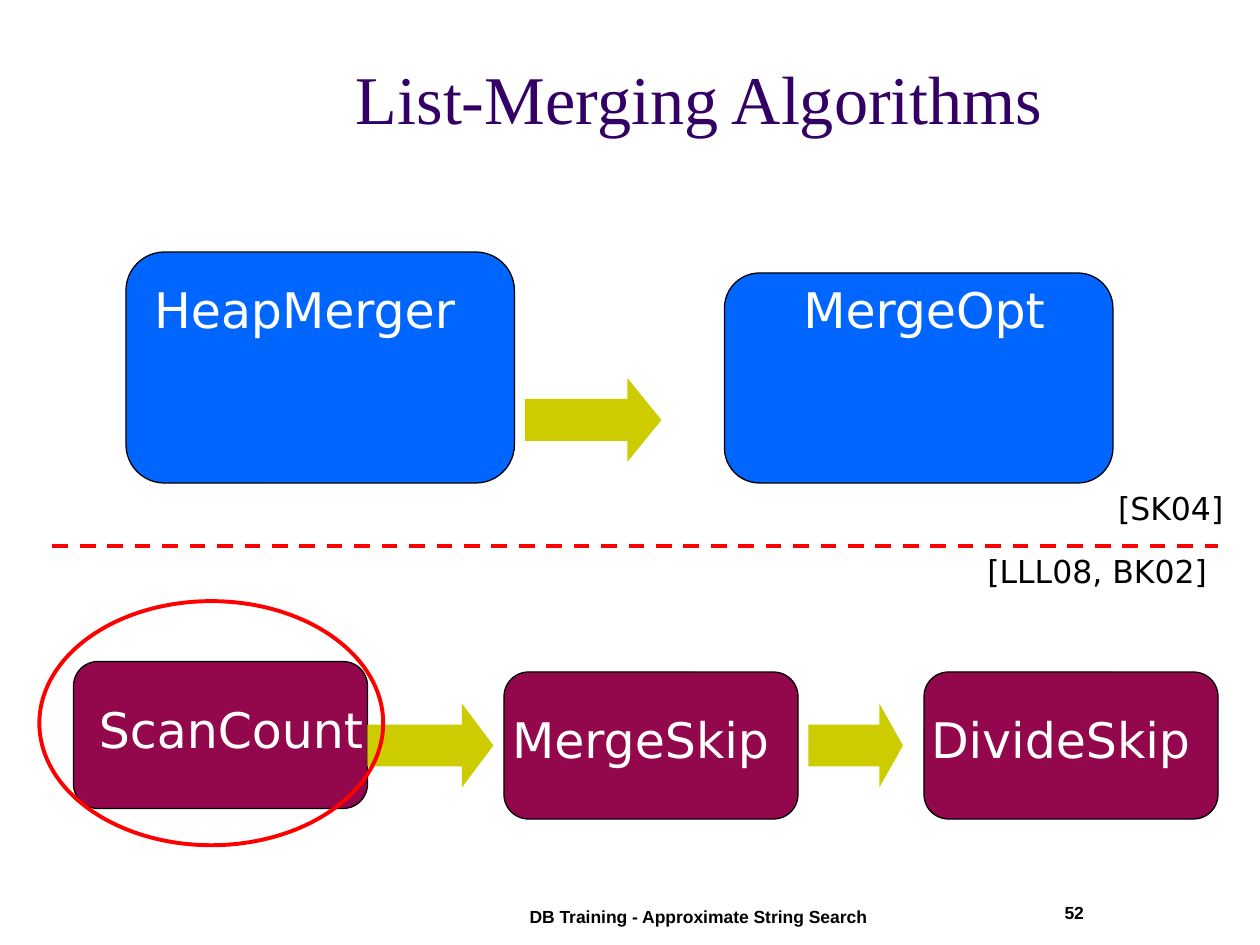
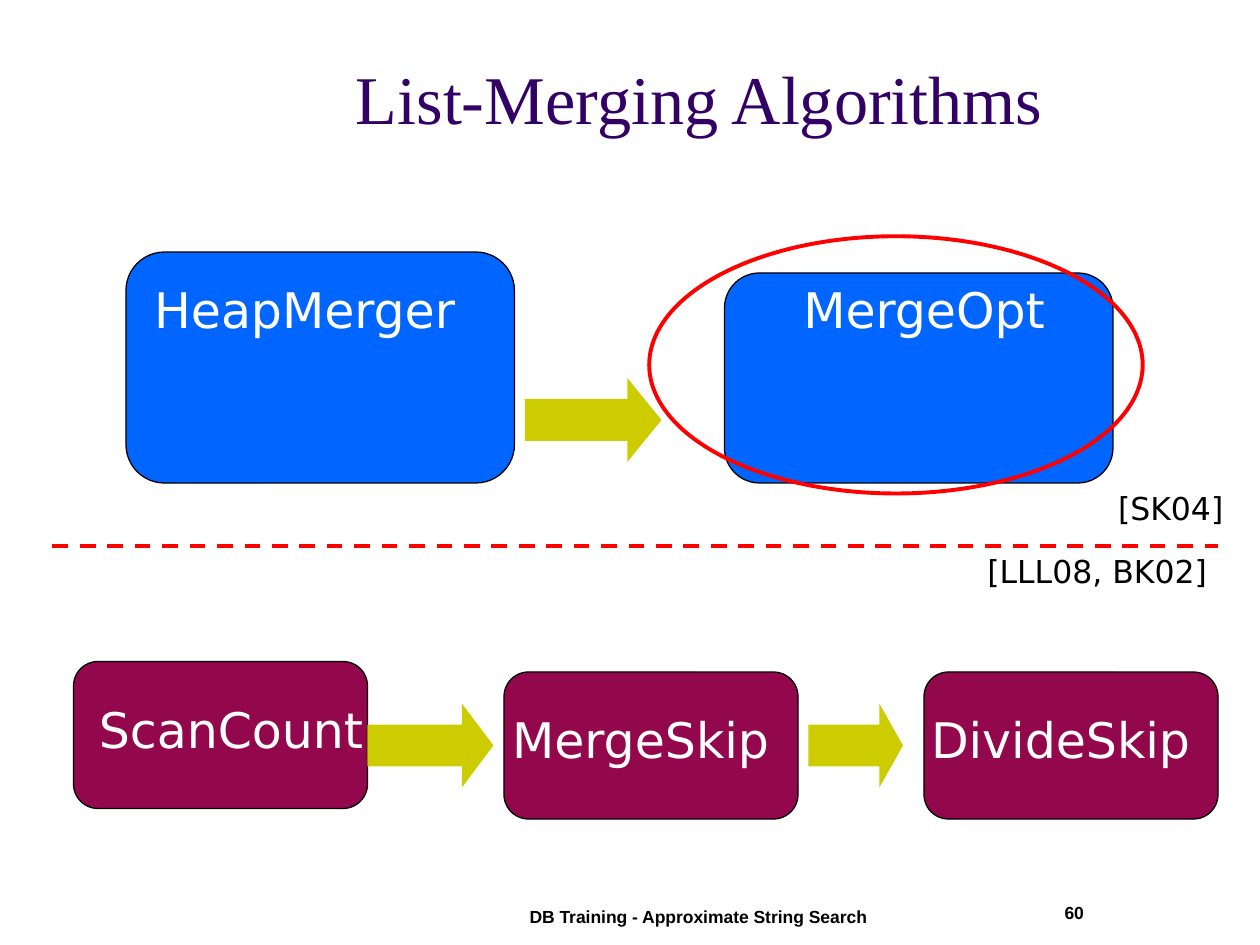
from dataclasses import dataclass

from lxml import etree
from pptx import Presentation
from pptx.dml.color import RGBColor
from pptx.enum import dml, shapes, text
from pptx.oxml import ns
from pptx.util import Pt

INDIGO = RGBColor(0x33, 0x00, 0x66)
BLUE = RGBColor(0x00, 0x66, 0xFF)
MAROON = RGBColor(0x93, 0x07, 0x4D)
OLIVE = RGBColor(0xCC, 0xCC, 0x00)
RED = RGBColor(0xFF, 0x00, 0x00)
BLACK = RGBColor(0x00, 0x00, 0x00)
WHITE = RGBColor(0xFF, 0xFF, 0xFF)

LABEL_HEIGHT = 41
ARROW_HEIGHT = 48
CITATION_HEIGHT = 29
FOOTER_HEIGHT = 36
DIVIDER_Y = 312


@dataclass(frozen=True)
class Area:
    left: float
    top: float
    width: float
    height: float

    def lengths(self) -> tuple:
        return Pt(self.left), Pt(self.top), Pt(self.width), Pt(self.height)


@dataclass(frozen=True)
class TextStyle:
    font: str
    size: float
    color: RGBColor
    align: text.PP_ALIGN = text.PP_ALIGN.CENTER
    anchor: text.MSO_ANCHOR = text.MSO_ANCHOR.TOP
    bold: bool = False


@dataclass(frozen=True)
class Algorithm:
    name: str
    box: Area
    label_left: float
    label_top: float
    label_width: float
    color: RGBColor


@dataclass(frozen=True)
class Step:
    """Arrow from one algorithm to the next."""
    left: float
    top: float
    width: float


@dataclass(frozen=True)
class Page:
    number: str
    highlight: Area


TITLE = TextStyle("Times New Roman", 39, INDIGO, text.PP_ALIGN.RIGHT, text.MSO_ANCHOR.BOTTOM)
LABEL = TextStyle("DejaVu Sans", 28, WHITE)
CITATION = TextStyle("DejaVu Sans", 18, BLACK)
FOOTER = TextStyle("Arial", 10, BLACK, bold=True)
PAGE_NUMBER = TextStyle("Arial", 10, BLACK, text.PP_ALIGN.RIGHT, bold=True)

ALGORITHMS = (
    Algorithm("HeapMerger", Area(72, 144, 222, 132), 78, 156, 192, BLUE),
    Algorithm("MergeOpt", Area(414, 156, 222, 120), 414, 156, 228, BLUE),
    Algorithm("ScanCount", Area(42, 378, 168, 84), 36, 396, 192, MAROON),
    Algorithm("MergeSkip", Area(288, 384, 168, 84), 270, 402, 192, MAROON),
    Algorithm("DivideSkip", Area(528, 384, 168, 84), 510, 402, 192, MAROON),
)
STEPS = (Step(300, 216, 78), Step(210, 402, 72), Step(462, 402, 54))
PAGES = (
    Page("52", Area(22.5, 343.5, 196.5, 139.5)),
    Page("60", Area(371, 135, 282, 147)),
)


def add_text(slide, words: str, area: Area, style: TextStyle) -> None:
    frame = slide.shapes.add_textbox(*area.lengths()).text_frame
    frame.word_wrap = True
    frame.vertical_anchor = style.anchor
    paragraph = frame.paragraphs[0]
    paragraph.text = words
    paragraph.alignment = style.align
    font = paragraph.font
    font.name, font.size, font.bold = style.font, Pt(style.size), style.bold
    font.color.rgb = style.color


def add_figure(slide, preset, area: Area, fill: RGBColor | None = None,
               outline: RGBColor | None = None, weight: float = 0.75):
    figure = slide.shapes.add_shape(preset, *area.lengths())
    figure.shadow.inherit = False
    if fill is None:
        figure.fill.background()
    else:
        figure.fill.solid()
        figure.fill.fore_color.rgb = fill
    if outline is None:
        figure.line.fill.background()
    else:
        figure.line.color.rgb = outline
        figure.line.width = Pt(weight)
    return figure


def add_algorithm(slide, algorithm: Algorithm) -> None:
    add_figure(slide, shapes.MSO_SHAPE.FLOWCHART_ALTERNATE_PROCESS, algorithm.box,
               algorithm.color, BLACK)
    label = Area(algorithm.label_left, algorithm.label_top, algorithm.label_width, LABEL_HEIGHT)
    add_text(slide, algorithm.name, label, LABEL)


def add_step(slide, step: Step) -> None:
    area = Area(step.left, step.top, step.width, ARROW_HEIGHT)
    arrow = add_figure(slide, shapes.MSO_SHAPE.RIGHT_ARROW, area, OLIVE)
    # The head takes a quarter of the arrow's length
    arrow.adjustments[1] = step.width / 4 / ARROW_HEIGHT


def add_divider(slide) -> None:
    divider = slide.shapes.add_connector(shapes.MSO_CONNECTOR.STRAIGHT, Pt(30), Pt(DIVIDER_Y),
                                         Pt(696), Pt(DIVIDER_Y))
    divider.line.color.rgb = RED
    divider.line.width = Pt(2.25)
    divider.line.dash_style = dml.MSO_LINE.DASH
    etree.SubElement(divider._element.spPr, ns.qn("a:effectLst"))


def add_page(deck, page: Page) -> None:
    slide = deck.slides.add_slide(deck.slide_layouts[6])
    add_text(slide, "List-Merging Algorithms", Area(9, -19.5, 594, 102), TITLE)

    # Algorithms and the steps between them
    for algorithm in ALGORITHMS:
        add_algorithm(slide, algorithm)
    for step in STEPS:
        add_step(slide, step)

    # Divider with the citations above and below it
    add_divider(slide)
    add_text(slide, "[SK04]", Area(618, 276, 102, CITATION_HEIGHT), CITATION)
    add_text(slide, "[LLL08, BK02]", Area(534, DIVIDER_Y, 186, CITATION_HEIGHT), CITATION)

    # Ring around the current algorithm
    add_figure(slide, shapes.MSO_SHAPE.OVAL, page.highlight, outline=RED, weight=2.25)

    # Footer
    add_text(slide, page.number, Area(538, 512, 88.5, FOOTER_HEIGHT), PAGE_NUMBER)
    add_text(slide, "DB Training - Approximate String Search",
             Area(285, 514, 228, FOOTER_HEIGHT), FOOTER)


def main() -> None:
    deck = Presentation()
    deck.slide_width, deck.slide_height = Pt(720), Pt(540)
    for page in PAGES:
        add_page(deck, page)
    deck.save("out.pptx")


if __name__ == "__main__":
    main()
